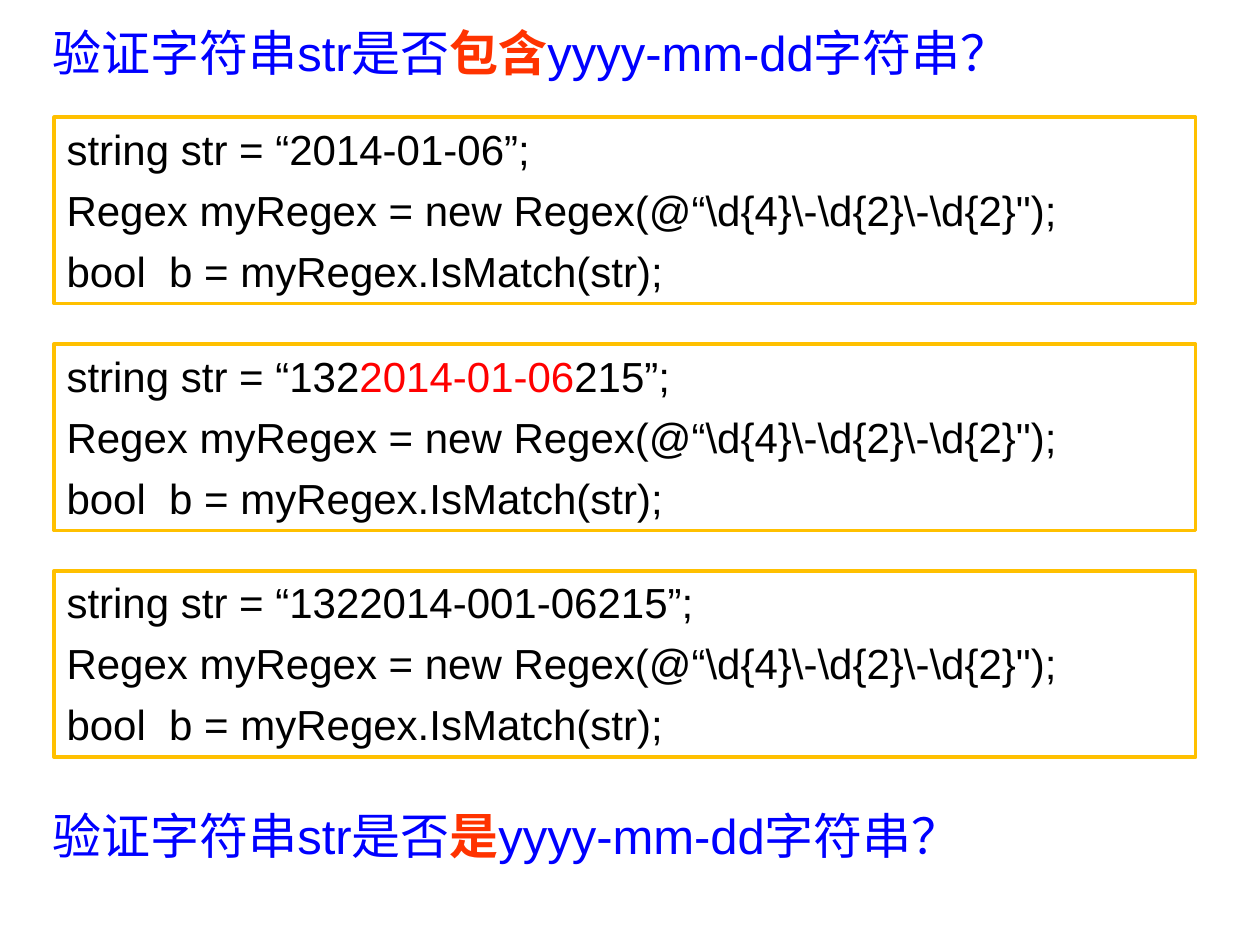
from pptx import Presentation
from pptx import util as u
from pptx.dml.color import RGBColor
from pptx.enum import shapes, text

BLUE = RGBColor(0x00, 0x00, 0xFF)
ORANGE = RGBColor(0xFF, 0x33, 0x00)
RED = RGBColor(0xFF, 0x00, 0x00)
BLACK = RGBColor(0x00, 0x00, 0x00)
GOLD = RGBColor(0xFF, 0xC0, 0x00)

MATCH_LINES = [
    [(r'Regex myRegex = new Regex(@“\d{4}\-\d{2}\-\d{2}");', BLACK)],
    [("bool  b = myRegex.IsMatch(str);", BLACK)],
]
EXAMPLES = [
    [("string str = “2014-01-06”;", BLACK)],
    [("string str = “132", BLACK), ("2014-01-06", RED), ("215”;", BLACK)],
    [("string str = “1322014-001-06215”;", BLACK)],
]


class SlideWriter:
    font_name = "Arial"
    question_size = u.Pt(28)
    code_size = u.Pt(24)

    def __init__(self, page):
        self.page = page

    def add_span(self, para, wording, **font_format):
        span = para.add_run()
        span.text = wording
        for name, value in {"name": self.font_name, **font_format}.items():
            if name == "color":
                span.font.color.rgb = value
            else:
                setattr(span.font, name, value)

    def question(self, top, keyword):
        box = self.page.shapes.add_textbox(
            u.Inches(0.32), u.Inches(top), u.Inches(9.33), u.Inches(0.63))
        box.text_frame.word_wrap = True
        para = box.text_frame.paragraphs[0]
        spans = [("验证字符串str是否", BLUE, False), (keyword, ORANGE, True),
                 ("yyyy-mm-dd字符串？", BLUE, False)]
        for wording, color, bold in spans:
            self.add_span(para, wording, size=self.question_size, color=color, bold=bold)

    def code_box(self, top, lines):
        box = self.page.shapes.add_shape(
            shapes.MSO_SHAPE.RECTANGLE,
            u.Inches(0.43), u.Inches(top), u.Inches(9.06), u.Inches(1.48))
        box.shadow.inherit = False
        box.fill.background()
        box.line.color.rgb = GOLD
        box.line.width = u.Pt(2)
        frame = box.text_frame
        frame_format = {"word_wrap": True, "vertical_anchor": text.MSO_ANCHOR.TOP,
                        "auto_size": text.MSO_AUTO_SIZE.SHAPE_TO_FIT_TEXT}
        for name, value in frame_format.items():
            setattr(frame, name, value)
        for index, line in enumerate(lines):
            para = frame.add_paragraph() if index else frame.paragraphs[0]
            para.alignment = text.PP_ALIGN.LEFT
            para.space_after = u.Pt(6)
            for wording, color in line:
                self.add_span(para, wording, size=self.code_size, color=color)


def main():
    deck = Presentation()
    deck.slide_width, deck.slide_height = u.Inches(10), u.Inches(7.5)
    writer = SlideWriter(deck.slides.add_slide(deck.slide_layouts[6]))
    writer.question(0.13, "包含")
    for index, example in enumerate(EXAMPLES):
        writer.code_box(0.93 + 1.8 * index, [example] + MATCH_LINES)
    writer.question(6.34, "是")
    deck.save("out.pptx")


if __name__ == "__main__":
    main()
